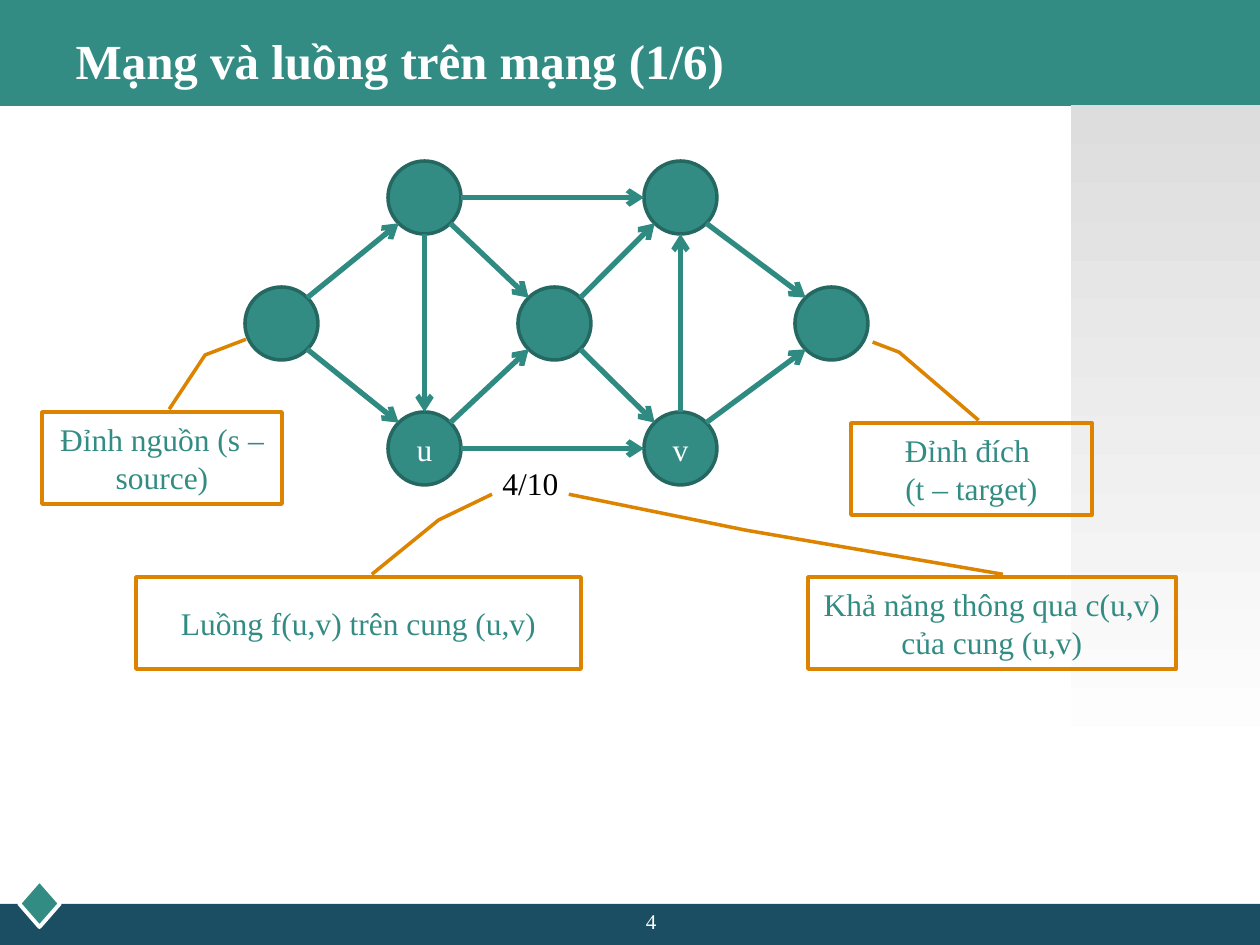
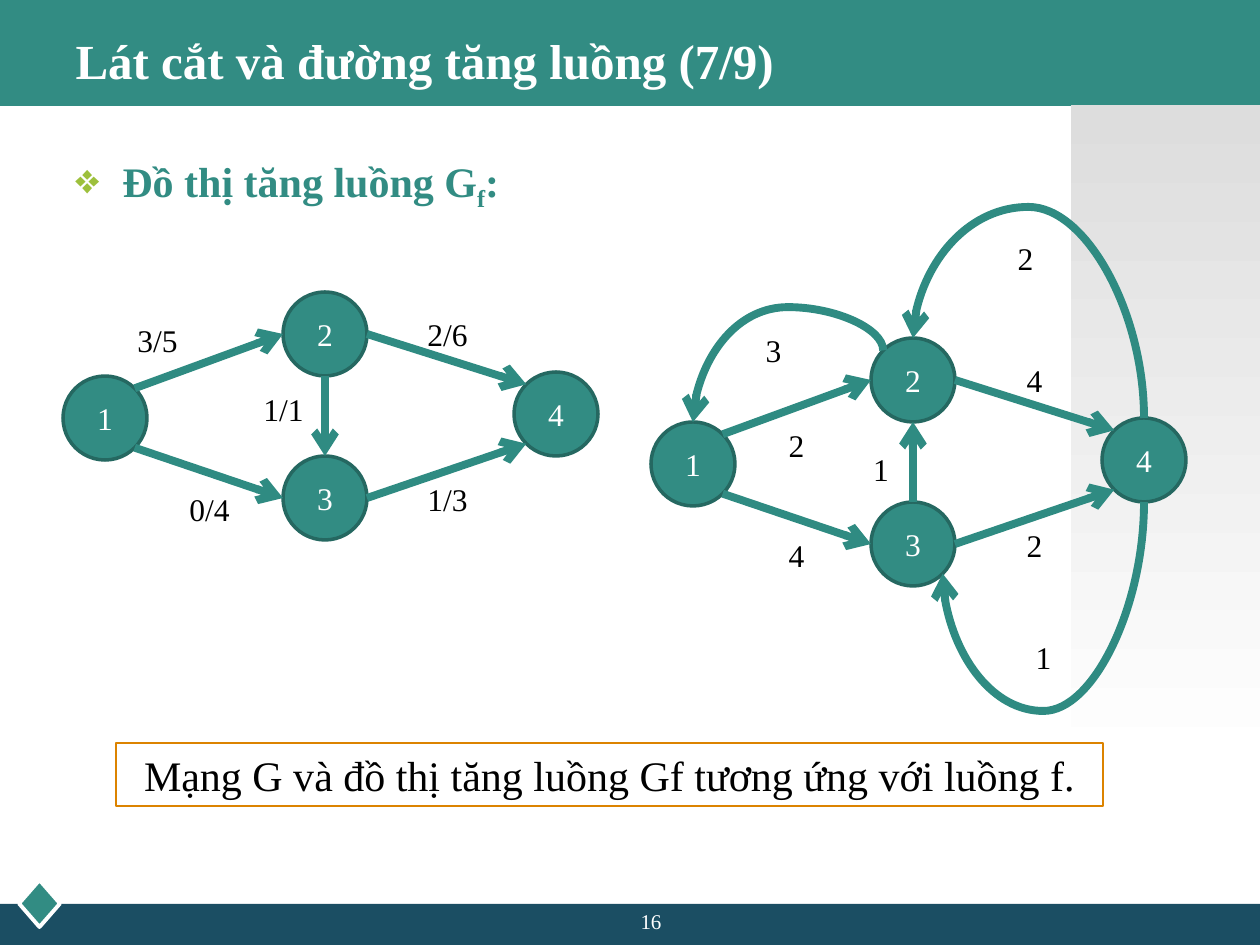
from dataclasses import dataclass
from enum import IntEnum
from math import cos, radians, sin
from typing import NamedTuple, Optional

from lxml.etree import SubElement
from pptx import Presentation
from pptx.dml.color import RGBColor
from pptx.enum.shapes import MSO_CONNECTOR, MSO_SHAPE
from pptx.enum.text import MSO_ANCHOR, MSO_AUTO_SIZE, PP_ALIGN
from pptx.oxml.ns import qn
from pptx.util import Emu, Pt

PX = 914400 / 126
FONT = "Times New Roman"
TEAL, DARK_TEAL, EDGE_TEAL = "328C83", "256861", "2F8B82"
NAVY, ORANGE, GREEN = "1B4E63", "DC8300", "9DC03C"
WHITE, BLACK, GREY = "FFFFFF", "000000", "DDDDDD"


class Box(NamedTuple):
    left: int
    top: int
    width: int
    height: int


class Site(IntEnum):
    """Connection sites of an ellipse, counter-clockwise from the top."""
    TOP = 0
    TOP_LEFT = 1
    LEFT = 2
    BOTTOM_LEFT = 3
    BOTTOM = 4
    BOTTOM_RIGHT = 5
    RIGHT = 6
    TOP_RIGHT = 7


class Bend(NamedTuple):
    rotation: int
    flips: str
    apex_y: int


@dataclass(frozen=True)
class Node:
    left: int
    top: int
    label: str = ""


@dataclass(frozen=True)
class Edge:
    start: str
    start_site: Site
    end: str
    end_site: Site
    bend: Optional[Bend] = None


@dataclass(frozen=True)
class Label:
    text: str
    box: Box


@dataclass(frozen=True)
class Callout:
    text: str
    box: Box
    leader: tuple  # y, x pairs as fractions of the box


def px(length: float) -> Emu:
    return Emu(round(length * PX))


def rgb(value: str) -> RGBColor:
    return RGBColor.from_string(value)


def place(shape, box: Box) -> None:
    shape.left, shape.top, shape.width, shape.height = map(px, box)


def write(shape, text: str, size: int, color: str, bold=False,
          align=PP_ALIGN.CENTER, anchor=MSO_ANCHOR.MIDDLE) -> None:
    frame = shape.text_frame
    frame.text = text
    frame.word_wrap = True
    frame.auto_size = MSO_AUTO_SIZE.NONE
    frame.vertical_anchor = anchor
    for para in frame.paragraphs:
        para.alignment = align
        for span in para.runs:
            style(span, size, color, bold)


def style(span, size: int, color: str, bold=False) -> None:
    span.font.name, span.font.size, span.font.bold = FONT, Pt(size), bold
    span.font.color.rgb = rgb(color)


def add_text(page, text: str, box: Box, size=18, color=BLACK, bold=False,
             align=PP_ALIGN.CENTER):
    shape = page.shapes.add_textbox(*map(px, box))
    write(shape, text, size, color, bold, align, MSO_ANCHOR.TOP)
    return shape


def add_figure(page, kind, box: Box, fill=None, line=None, line_width=2.0):
    shape = page.shapes.add_shape(kind, *map(px, box))
    shape.shadow.inherit = False
    if fill:
        shape.fill.solid()
        shape.fill.fore_color.rgb = rgb(fill)
    else:
        shape.fill.background()
    if line:
        shape.line.color.rgb = rgb(line)
        shape.line.width = Pt(line_width)
    else:
        shape.line.fill.background()
    return shape


def add_page(deck, title: str, number: int):
    """Add a slide with the shared bands, diamond, title and number."""
    page = deck.slides.add_slide(deck.slide_layouts[5])
    add_figure(page, MSO_SHAPE.RECTANGLE, Box(0, 0, 1260, 106), TEAL)
    add_figure(page, MSO_SHAPE.RECTANGLE, Box(0, 904, 1260, 41), NAVY)
    add_figure(page, MSO_SHAPE.DIAMOND, Box(19, 880, 41, 47), TEAL, WHITE, 2.25)
    side = add_figure(page, MSO_SHAPE.RECTANGLE, Box(1071, 105, 189, 661))
    side.fill.gradient()
    side.fill.gradient_angle = 270
    for stop, color in zip(side.fill.gradient_stops, (GREY, WHITE)):
        stop.color.rgb = rgb(color)
    heading = page.shapes.title
    place(heading, Box(63, 21, 1134, 78))
    write(heading, title, 28, WHITE, True, PP_ALIGN.LEFT)
    page.shapes._spTree.append(heading._element)
    add_text(page, str(number), Box(504, 902, 294, 33), 12, WHITE)
    return page


def site_point(node: Node, site: Site, diameter: int) -> tuple:
    radius, angle = diameter / 2, radians(45 * site)
    return (node.left + radius - radius * sin(angle),
            node.top + radius - radius * cos(angle))


def bend_connector(connector, bend: Bend, start: tuple, end: tuple) -> None:
    """Turn a curved connector so that it leaves and arrives vertically."""
    (x1, y1), (x2, y2) = start, end
    width, height = abs(y2 - y1), abs(x2 - x1)
    place(connector, Box((x1 + x2 - width) / 2, (y1 + y2 - height) / 2, width, height))
    frame = connector._element.spPr.find(qn("a:xfrm"))
    frame.set("rot", str(bend.rotation * 60000))
    frame.set("flipH", str(int("h" in bend.flips)))
    frame.set("flipV", str(int("v" in bend.flips)))
    guides = connector._element.spPr.find(qn("a:prstGeom")).find(qn("a:avLst"))
    reach = round((bend.apex_y - y1) / (y2 - y1) * 100000)
    SubElement(guides, qn("a:gd"), name="adj1", fmla=f"val {reach}")


def add_edge(page, edge: Edge, nodes: dict, circles: dict, diameter: int,
             line_width: float) -> None:
    start = site_point(nodes[edge.start], edge.start_site, diameter)
    end = site_point(nodes[edge.end], edge.end_site, diameter)
    kind = MSO_CONNECTOR.CURVE if edge.bend else MSO_CONNECTOR.STRAIGHT
    connector = page.shapes.add_connector(kind, *map(px, start + end))
    connector.line.color.rgb = rgb(EDGE_TEAL)
    connector.line.width = Pt(line_width)
    SubElement(connector.line._get_or_add_ln(), qn("a:tailEnd"), type="arrow")
    SubElement(connector._element.spPr, qn("a:effectLst"))
    joints = connector._element.nvCxnSpPr.cNvCxnSpPr
    for tag, name, site in (("a:stCxn", edge.start, edge.start_site),
                            ("a:endCxn", edge.end, edge.end_site)):
        SubElement(joints, qn(tag), id=str(circles[name].shape_id), idx=str(int(site)))
    if edge.bend:
        bend_connector(connector, edge.bend, start, end)


def add_graph(page, nodes: dict, edges: list, diameter: int, line_width: float) -> None:
    circles = {}
    for name, node in nodes.items():
        circle = add_figure(page, MSO_SHAPE.OVAL,
                            Box(node.left, node.top, diameter, diameter), TEAL, DARK_TEAL)
        if node.label:
            write(circle, node.label, 18, WHITE)
        circles[name] = circle
    for edge in edges:
        add_edge(page, edge, nodes, circles, diameter, line_width)


def add_callout(page, callout: Callout) -> None:
    shape = add_figure(page, MSO_SHAPE.LINE_CALLOUT_2, callout.box, line=ORANGE)
    for index, value in enumerate(callout.leader):
        shape.adjustments[index] = value
    write(shape, callout.text, 18, TEAL)


def add_bullet_heading(page) -> None:
    shape = add_text(page, "Đồ thị tăng luồng G", Box(63, 149, 1134, 80), 24, TEAL,
                     True, PP_ALIGN.LEFT)
    para = shape.text_frame.paragraphs[0]
    para.space_before = Pt(3)
    for text, baseline in (("f", -25000), (":", 0)):
        span = para.add_run()
        span.text = text
        style(span, 24, TEAL, True)
        span.font._element.set("baseline", str(baseline))
    properties = para._p.get_or_add_pPr()
    properties.set("marL", str(px(47)))
    properties.set("indent", str(px(-47)))
    SubElement(SubElement(properties, qn("a:buClr")), qn("a:srgbClr"), val=GREEN)
    SubElement(properties, qn("a:buChar"), char="❖")


def build_network_page(deck) -> None:
    page = add_page(deck, "Mạng và luồng trên mạng (1/6)", 4)
    nodes = {
        "u": Node(388, 412, "u"), "v": Node(644, 412, "v"),
        "middle": Node(518, 287), "target": Node(795, 287),
        "upper right": Node(644, 161), "upper left": Node(388, 161),
        "source": Node(245, 287),
    }
    edges = [
        Edge("source", Site.TOP_RIGHT, "upper left", Site.BOTTOM_LEFT),
        Edge("upper left", Site.RIGHT, "upper right", Site.LEFT),
        Edge("source", Site.BOTTOM_RIGHT, "u", Site.TOP_LEFT),
        Edge("u", Site.RIGHT, "v", Site.LEFT),
        Edge("upper left", Site.BOTTOM_RIGHT, "middle", Site.TOP_LEFT),
        Edge("u", Site.TOP_RIGHT, "middle", Site.BOTTOM_LEFT),
        Edge("middle", Site.TOP_RIGHT, "upper right", Site.BOTTOM_LEFT),
        Edge("middle", Site.BOTTOM_RIGHT, "v", Site.TOP_LEFT),
        Edge("upper left", Site.BOTTOM, "u", Site.TOP),
        Edge("v", Site.TOP, "upper right", Site.BOTTOM),
        Edge("upper right", Site.BOTTOM_RIGHT, "target", Site.TOP_LEFT),
        Edge("v", Site.TOP_RIGHT, "target", Site.BOTTOM_LEFT),
    ]
    add_graph(page, nodes, edges, 73, 3)
    add_text(page, "4/10", Box(490, 458, 102, 50), align=PP_ALIGN.LEFT)
    for callout in (
        Callout("Đỉnh nguồn (s – source)", Box(42, 412, 240, 92),
                (-0.03, 0.53, -0.62, 0.68, -0.79, 0.85)),
        Callout("Đỉnh đích \n(t – target)", Box(851, 423, 241, 92),
                (-0.03, 0.53, -0.77, 0.2, -0.88, 0.09)),
        Callout("Luồng f(u,v) trên cung (u,v)", Box(136, 577, 445, 92),
                (-0.03, 0.53, -0.62, 0.68, -0.9, 0.8)),
        Callout("Khả năng thông qua c(u,v) của cung (u,v)", Box(808, 577, 368, 92),
                (-0.03, 0.53, -0.51, -0.17, -0.9, -0.65)),
    ):
        add_callout(page, callout)


def build_residual_page(deck) -> None:
    page = add_page(deck, "Lát cắt và đường tăng luồng (7/9)", 16)
    add_bullet_heading(page)
    network = {"1": Node(63, 376, "1"), "2": Node(283, 292, "2"),
               "3": Node(283, 456, "3"), "4": Node(514, 372, "4")}
    residual = {name: Node(node.left + 588, node.top + 46, node.label)
                for name, node in network.items()}
    shared = [
        Edge("1", Site.TOP_RIGHT, "2", Site.LEFT),
        Edge("2", Site.RIGHT, "4", Site.TOP_LEFT),
        Edge("1", Site.BOTTOM_RIGHT, "3", Site.LEFT),
        Edge("3", Site.RIGHT, "4", Site.BOTTOM_LEFT),
    ]
    backward = [
        Edge("3", Site.TOP, "2", Site.BOTTOM),
        Edge("2", Site.TOP_LEFT, "1", Site.TOP, Bend(270, "hv", 307)),
        Edge("4", Site.TOP, "2", Site.TOP, Bend(270, "v", 207)),
        Edge("4", Site.BOTTOM, "3", Site.BOTTOM_RIGHT, Bend(90, "", 711)),
    ]
    add_graph(page, network, shared + [Edge("2", Site.BOTTOM, "3", Site.TOP)], 84, 4.5)
    add_graph(page, residual, shared + backward, 84, 4.5)
    for label in (
        Label("3/5", Box(105, 315, 105, 50)), Label("2/6", Box(395, 309, 105, 50)),
        Label("1/3", Box(395, 474, 105, 50)), Label("0/4", Box(157, 484, 105, 50)),
        Label("1/1", Box(231, 384, 105, 50)), Label("2", Box(760, 420, 73, 50)),
        Label("4", Box(982, 355, 105, 50)), Label("2", Box(982, 520, 105, 50)),
        Label("4", Box(744, 530, 105, 50)), Label("1", Box(849, 444, 64, 50)),
        Label("3", Box(737, 325, 73, 50)), Label("2", Box(989, 233, 73, 50)),
        Label("1", Box(1007, 632, 73, 50)),
    ):
        add_text(page, label.text, label.box)
    caption = add_figure(page, MSO_SHAPE.RECTANGLE, Box(116, 743, 987, 63),
                         line=ORANGE, line_width=0.75)
    write(caption, "Mạng G và đồ thị tăng luồng Gf tương ứng với luồng f.", 24, BLACK,
          anchor=MSO_ANCHOR.TOP)


def main() -> None:
    deck = Presentation()
    deck.slide_width, deck.slide_height = px(1260), px(945)
    build_network_page(deck)
    build_residual_page(deck)
    deck.save("out.pptx")


if __name__ == "__main__":
    main()
